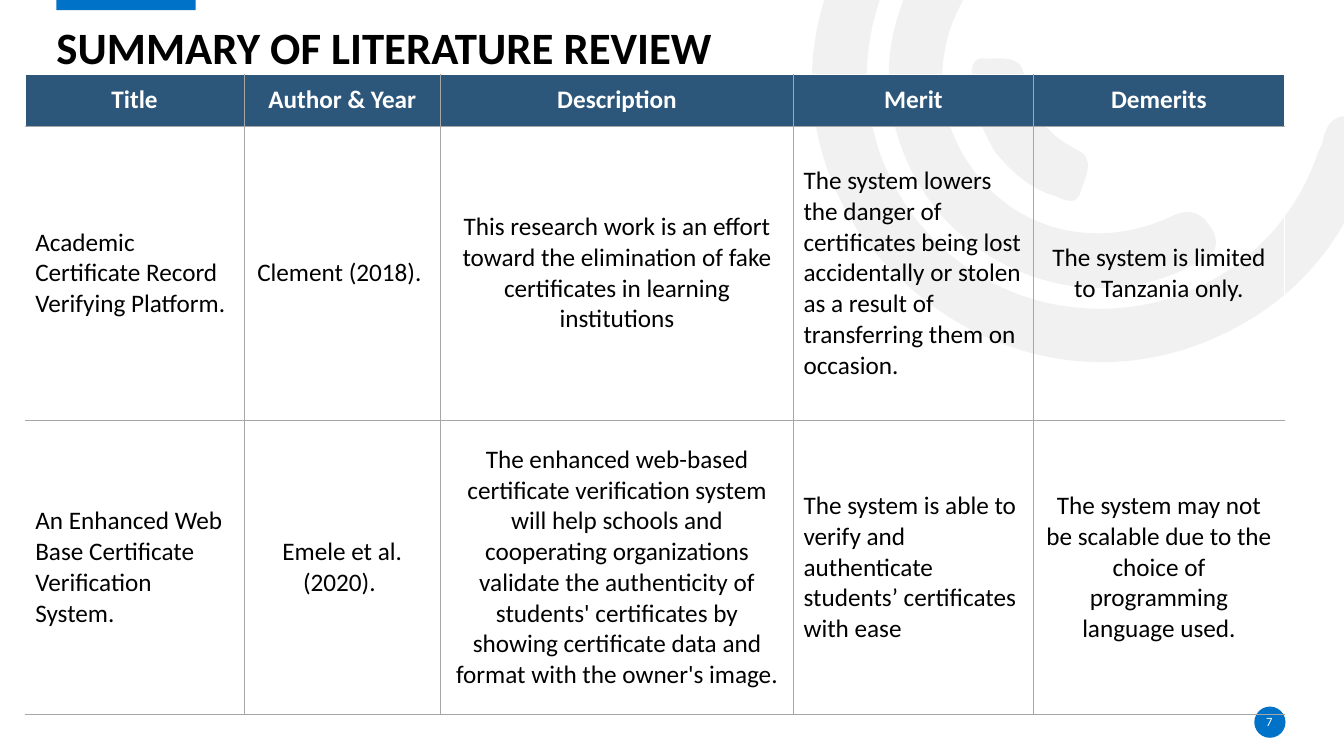
"""Build the literature review summary slide with its comparison table."""
from lxml.etree import SubElement
from pptx import Presentation
from pptx.dml.color import RGBColor
from pptx.enum.shapes import MSO_SHAPE
from pptx.enum.text import MSO_ANCHOR, PP_ALIGN
from pptx.oxml import parse_xml
from pptx.oxml.ns import nsdecls, qn
from pptx.util import Inches, Pt

FONT = "Calibri"
BLACK = RGBColor(0x00, 0x00, 0x00)
WHITE = RGBColor(0xFF, 0xFF, 0xFF)
BLUE = RGBColor(0x00, 0x72, 0xC7)
NAVY = RGBColor(0x2C, 0x56, 0x7A)
GRID_GRAY = RGBColor(0xA6, 0xA6, 0xA6)
SWIRL_GRAY = RGBColor(0xE7, 0xE6, 0xE6)
UNITS_PER_INCH = 100

SWIRL_BANDS = [
    [(8.51, 2.29),
     (7.99, 1.49), (7.87, 0.5), (8.38, -0.5),
     (8.9, -1.52), (9.76, -2.03), (10.9, -2.07),
     (11.05, -2.07), (11.21, -2.1), (11.31, -1.95),
     (11.44, -1.75), (11.27, -1.54), (10.98, -1.54),
     (9.67, -1.54), (8.65, -0.59), (8.6, 0.68),
     (8.56, 1.81), (9.36, 2.81), (10.46, 3.02),
     (11.6, 3.24), (12.7, 2.61), (13.07, 1.52),
     (13.09, 1.48), (13.11, 1.44), (13.12, 1.4),
     (13.16, 1.19), (13.27, 1.11), (13.49, 1.17),
     (13.73, 1.24), (13.67, 1.41), (13.61, 1.56),
     (13.34, 2.45), (12.78, 3.07), (11.91, 3.41),
     (10.7, 3.87), (9.36, 3.45), (8.51, 2.29)],
    [(9.22, 1.99),
     (8.62, 1.15), (8.69, 0.07), (9.4, -0.68),
     (9.51, -0.79), (9.62, -0.95), (9.8, -0.78),
     (9.95, -0.64), (9.97, -0.5), (9.79, -0.32),
     (9.25, 0.26), (9.2, 1.08), (9.65, 1.68),
     (10.08, 2.29), (10.88, 2.49), (11.61, 2.15),
     (11.82, 2.05), (11.93, 2.12), (12.03, 2.29),
     (12.13, 2.5), (11.97, 2.56), (11.83, 2.63),
     (10.96, 3.1), (9.83, 2.82), (9.22, 1.99)],
    [(9.87, 1.51),
     (9.75, 1.3), (9.64, 1.07), (9.64, 0.82),
     (9.64, 0.73), (9.61, 0.57), (9.76, 0.58),
     (9.92, 0.59), (10.13, 0.53), (10.16, 0.76),
     (10.21, 1.1), (10.36, 1.32), (10.67, 1.48),
     (10.88, 1.57), (10.76, 1.76), (10.72, 1.89),
     (10.68, 2.06), (10.55, 1.98), (10.45, 1.94),
     (10.21, 1.87), (10.03, 1.7), (9.87, 1.51)],
]

COLUMN_WIDTHS = [2.17, 1.95, 3.5, 2.38, 2.49]
ROW_HEIGHTS = [0.51, 2.92, 2.92]
LEFT_ALIGNED_COLUMNS = (0, 3)
REVIEW_ROWS = [
    ["Title", "Author & Year", " Description ", "Merit", "Demerits"],
    ["Academic Certificate Record Verifying Platform.",
     "Clement (2018). ",
     "This research work is an effort toward the elimination of fake "
     "certificates in learning institutions",
     "The system lowers the danger of certificates being lost accidentally "
     "or stolen as a result of transferring them on occasion.",
     "The system is limited to Tanzania only."],
    ["An Enhanced Web Base Certificate Verification System.",
     "Emele et al. (2020). ",
     "The enhanced web-based certificate verification system will help "
     "schools and cooperating organizations validate the authenticity of "
     "students' certificates by showing certificate data and format with "
     "the owner's image.",
     "The system is able to verify and authenticate students’ certificates "
     "with ease",
     "The system may not be scalable due to the choice of programming "
     "language used."],
]


def write_text(text_frame, text, size, color, bold, alignment, anchor):
    text_frame.text = text
    text_frame.word_wrap = True
    text_frame.vertical_anchor = anchor
    paragraph = text_frame.paragraphs[0]
    paragraph.alignment = alignment
    font = paragraph.runs[0].font
    font.name = FONT
    font.size = Pt(size)
    font.bold = bold
    font.color.rgb = color


def paint(shape, color):
    shape.shadow.inherit = False
    shape.fill.solid()
    shape.fill.fore_color.rgb = color
    shape.line.fill.background()


presentation = Presentation()
presentation.slide_width = Inches(13.33)
presentation.slide_height = Inches(7.5)
slide = presentation.slides.add_slide(presentation.slide_layouts[5])
shapes = slide.shapes

for band in SWIRL_BANDS:
    points = [(round(x * UNITS_PER_INCH), round(y * UNITS_PER_INCH)) for x, y in band]
    anchors = points[::3]
    left = min(x for x, y in anchors)
    top = min(y for x, y in anchors)
    builder = shapes.build_freeform(*anchors[0], scale=Inches(1) / UNITS_PER_INCH)
    builder.add_line_segments(anchors[1:], close=True)
    swirl = builder.convert_to_shape()
    paint(swirl, SWIRL_GRAY)
    swirl_color = swirl.fill._xPr.find(qn("a:solidFill"))[0]
    SubElement(swirl_color, qn("a:alpha"), val="53000")
    segments = list(swirl._element.iter(qn("a:lnTo")))
    for index, segment in enumerate(segments):
        curve = parse_xml(f'<a:cubicBezTo {nsdecls("a")}/>')
        for x, y in points[3 * index + 1:3 * index + 4]:
            SubElement(curve, qn("a:pt"), x=str(x - left), y=str(y - top))
        segment.getparent().replace(segment, curve)

accent_bar = shapes.add_shape(
    MSO_SHAPE.RECTANGLE, Inches(0.56), Inches(-0.02), Inches(1.38), Inches(0.12))
paint(accent_bar, BLUE)
number_circle = shapes.add_shape(
    MSO_SHAPE.OVAL, Inches(12.44), Inches(7.01), Inches(0.31), Inches(0.31))
paint(number_circle, BLUE)

title = shapes.title
title.left, title.top = Inches(0.56), Inches(-0.27)
title.width, title.height = Inches(12.19), Inches(1.01)
write_text(title.text_frame, "SUMMARY OF LITERATURE REVIEW", 32, BLACK, True,
           PP_ALIGN.LEFT, MSO_ANCHOR.BOTTOM)
title.text_frame.paragraphs[0].line_spacing = 0.9

table = shapes.add_table(
    len(ROW_HEIGHTS), len(COLUMN_WIDTHS), Inches(0.25), Inches(0.74),
    Inches(sum(COLUMN_WIDTHS)), Inches(sum(ROW_HEIGHTS))).table
table.horz_banding = False
for column, width in zip(table.columns, COLUMN_WIDTHS):
    column.width = Inches(width)
for row, height in zip(table.rows, ROW_HEIGHTS):
    row.height = Inches(height)

for row_index, texts in enumerate(REVIEW_ROWS):
    is_header = row_index == 0
    for column_index, text in enumerate(texts):
        cell = table.cell(row_index, column_index)
        is_left = not is_header and column_index in LEFT_ALIGNED_COLUMNS
        write_text(cell.text_frame, text, 18, WHITE if is_header else BLACK, is_header,
                   PP_ALIGN.LEFT if is_left else PP_ALIGN.CENTER, None)
        cell.vertical_anchor = MSO_ANCHOR.MIDDLE
        if is_header:
            cell.fill.solid()
            cell.fill.fore_color.rgb = NAVY
        else:
            cell.fill.background()
        white_sides = {"lnL": column_index == 0,
                       "lnR": column_index == len(COLUMN_WIDTHS) - 1,
                       "lnT": is_header,
                       "lnB": False}
        properties = cell._tc.get_or_add_tcPr()
        for position, (side, is_white) in enumerate(white_sides.items()):
            color, width = (WHITE, Pt(1)) if is_white else (GRID_GRAY, Pt(0.5))
            properties.insert(position, parse_xml(
                f'<a:{side} {nsdecls("a")} w="{width}"><a:solidFill>'
                f'<a:srgbClr val="{color}"/></a:solidFill></a:{side}>'))

number_box = shapes.add_textbox(Inches(12.43), Inches(7.06), Inches(0.32), Inches(0.2))
write_text(number_box.text_frame, "7", 9, WHITE, False, PP_ALIGN.CENTER, MSO_ANCHOR.MIDDLE)

for text_frame in (title.text_frame, number_box.text_frame):
    text_frame.margin_left = text_frame.margin_right = Inches(0)
    text_frame.margin_top = text_frame.margin_bottom = Inches(0)

presentation.save("out.pptx")
